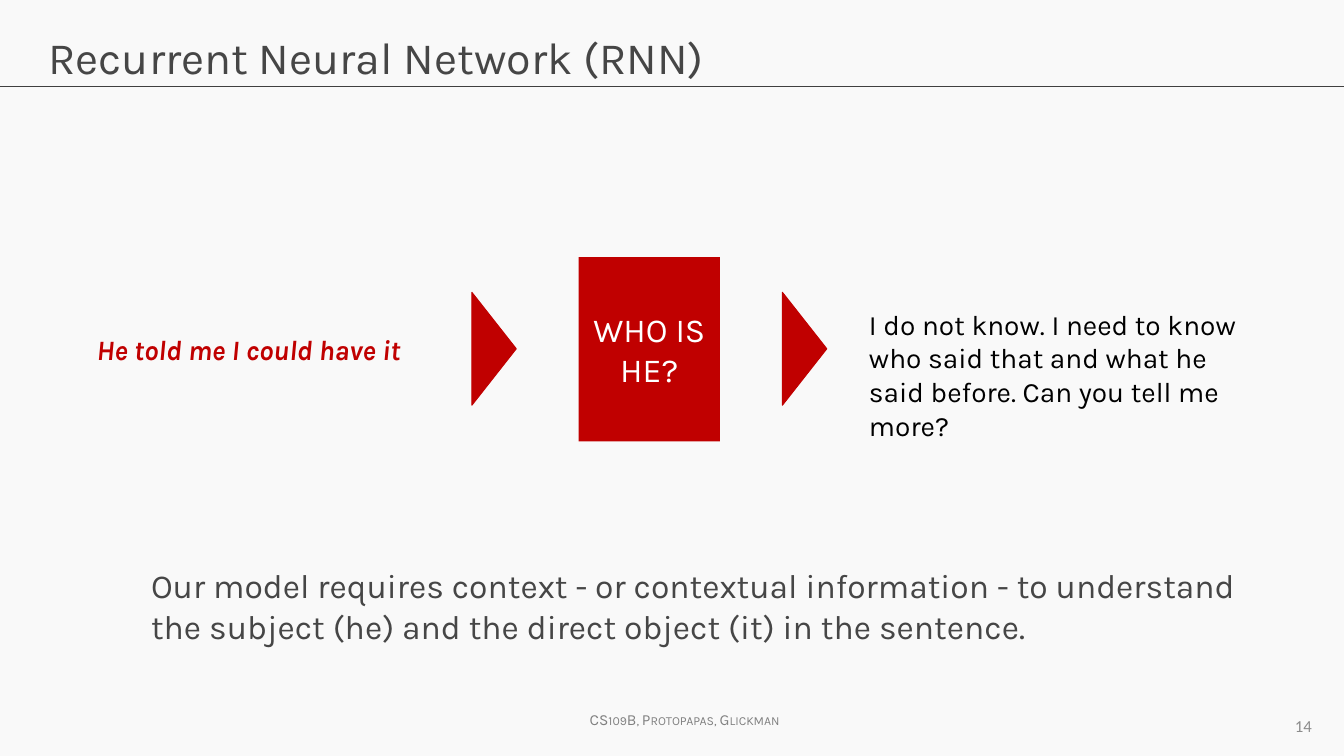
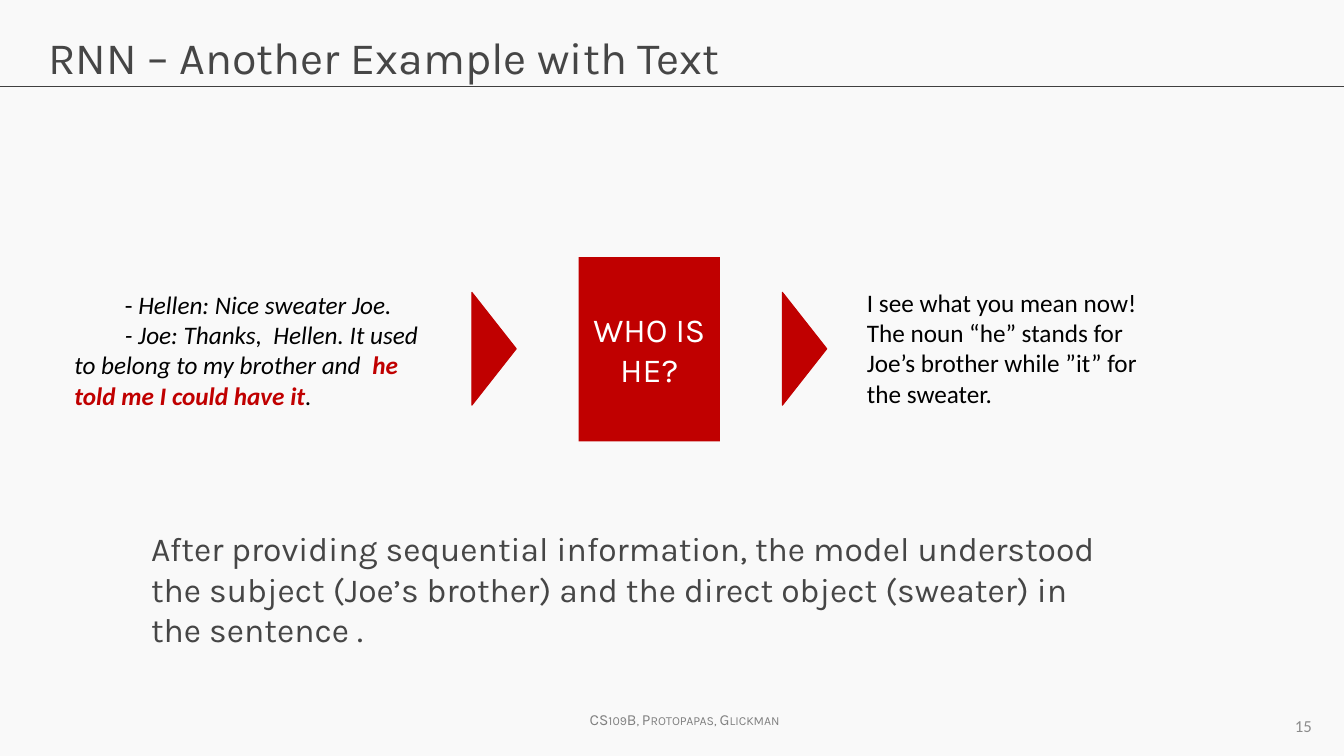
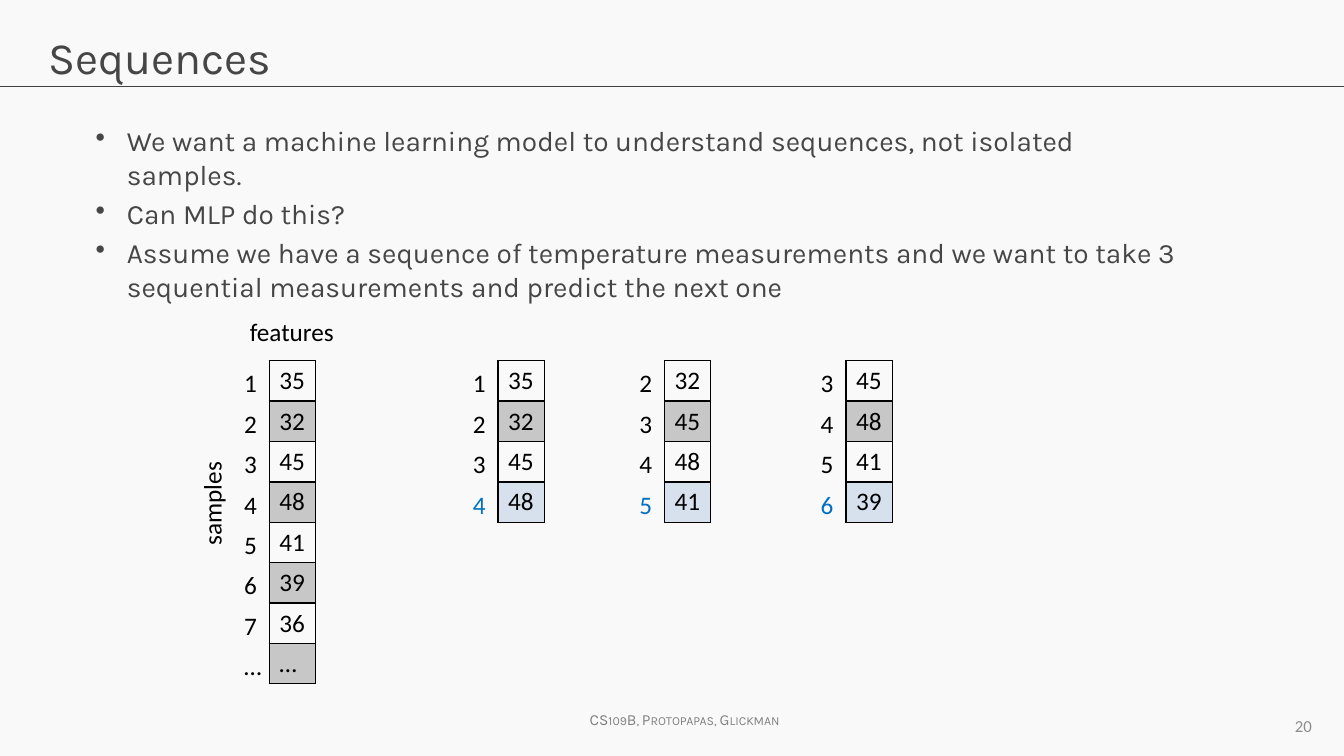
from lxml import etree
from pptx import Presentation
from pptx.dml.color import RGBColor
from pptx.enum.shapes import MSO_CONNECTOR, MSO_SHAPE
from pptx.enum.text import MSO_ANCHOR, MSO_AUTO_SIZE, PP_ALIGN
from pptx.oxml.ns import qn
from pptx.util import Inches, Pt

WIDTH, HEIGHT = 13.33, 7.5
TITLE_ONLY = 5
LEFT, CENTER, RIGHT = PP_ALIGN.LEFT, PP_ALIGN.CENTER, PP_ALIGN.RIGHT
TOP, MIDDLE = MSO_ANCHOR.TOP, MSO_ANCHOR.MIDDLE
PLAIN_TABLE_STYLE = "{2D5ABB26-0587-4C30-8999-92F81FD0307C}"
KARLA, CALIBRI = "Karla", "Calibri"
COLORS = {
    "paper": "F9F9F9", "rule": "404040", "body": "464646", "footer": "808080",
    "number": "8C8C8C", "red": "C00000", "white": "FFFFFF", "black": "000000",
    "target": "0070C0", "target_fill": "4F81BD",
}

FOOTER = "CS109B, Protopapas, Glickman"
QUESTION = "WHO IS HE?"
FLOWS = [
    {
        "title": "Recurrent Neural Network (RNN)", "number": 14,
        "input": [[("He told me I could have it", "red", True, True)]],
        "input_box": (0.86, 3.25, 3.58, 0.44), "indent": 0,
        "answer": "I do not know. I need to know who said that and what he said before. "
                  "Can you tell me more?",
        "answer_box": (8.52, 3, 3.98, 1.45), "font": KARLA, "size": 20,
        "lesson": "Our model requires context - or contextual information - to understand "
                  "the subject (he) and the direct object (it) in the sentence.",
        "lesson_box": (1.4, 5.56, 11.1, 1.06),
    },
    {
        "title": "RNN – Another Example with Text", "number": 15,
        "input": [
            [("- ", "black", False, False),
             ("Hellen: Nice sweater Joe.", "black", False, True)],
            [("- Joe: Thanks,  Hellen. It used to belong to my brother and  ",
              "black", False, True),
             ("he told me I could have it", "red", True, True),
             (".", "black", False, True)],
        ],
        "input_box": (0.64, 2.82, 3.8, 1.31), "indent": 0.5,
        "answer": "I see what you mean now! The noun “he” stands for Joe’s brother "
                  "while ”it” for the sweater.",
        "answer_box": (8.5, 2.8, 3.13, 1.31), "font": CALIBRI, "size": 18,
        "lesson": "After providing sequential information, the model understood the subject "
                  "(Joe’s brother) and the direct object (sweater) in the sentence .",
        "lesson_box": (1.4, 5.19, 9.82, 1.06),
    },
]

SEQUENCE_BULLETS = [
    "We want a machine learning model to understand sequences, not isolated samples.",
    "Can MLP do this?",
    "Assume we have a sequence of temperature measurements and we want to take 3 "
    "sequential measurements and predict the next one",
]
SAMPLES = list(zip("1234567…", ["35", "32", "45", "48", "41", "39", "36", "…"]))
WINDOW = 4
WINDOW_LEFTS = [4.59, 6.24, 8.04]
ROW_HEIGHT = 0.4


def rgb(name):
    return RGBColor.from_string(COLORS[name])


def inches(box):
    return [Inches(length) for length in box]


def style(font, face, size, color):
    font.name, font.size, font.color.rgb = face, Pt(size), rgb(color)


def add_text(slide, box, lines, face, size, color, align=LEFT, anchor=TOP, wrap=True):
    label = slide.shapes.add_textbox(*inches(box))
    frame = label.text_frame
    frame.word_wrap, frame.vertical_anchor = wrap, anchor
    frame.text = "\n".join(lines)
    for paragraph in frame.paragraphs:
        paragraph.alignment = align
        style(paragraph.font, face, size, color)
    return label


def add_slide(deck, title, number):
    """Add a slide with the title, rule, footer and page number all slides share."""
    slide = deck.slides.add_slide(deck.slide_layouts[TITLE_ONLY])
    heading = slide.shapes.title
    heading.left, heading.top, heading.width, heading.height = inches((0.38, 0.24, 12.57, 0.84))
    frame = heading.text_frame
    frame.text = title
    frame.auto_size, frame.vertical_anchor = MSO_AUTO_SIZE.NONE, TOP
    frame.paragraphs[0].alignment = LEFT
    style(frame.paragraphs[0].font, KARLA, 32, "body")

    rule = slide.shapes.add_connector(MSO_CONNECTOR.STRAIGHT, *inches((0, 0.86, WIDTH, 0.86)))
    rule.line.color.rgb, rule.line.width = rgb("rule"), Pt(0.75)
    etree.SubElement(rule._element.spPr, qn("a:effectLst"))

    footer = add_text(slide, (5.75, 7, 2.19, 0.29), [FOOTER], KARLA, 11, "footer")
    credit = footer.text_frame.paragraphs[0].runs[0]
    credit.font._element.set("cap", "small")
    add_text(slide, (10, 7, 3.11, 0.4), [str(number)], CALIBRI, 12, "number", RIGHT, MIDDLE)
    return slide


def add_red_shape(slide, kind, box):
    shape = slide.shapes.add_shape(kind, *inches(box))
    shape.shadow.inherit = False
    shape.fill.solid()
    shape.fill.fore_color.rgb = rgb("red")
    shape.line.color.rgb, shape.line.width = rgb("red"), Pt(0.75)
    return shape


def add_flow_slide(deck, flow):
    slide = add_slide(deck, flow["title"], flow["number"])
    add_text(slide, flow["lesson_box"], [flow["lesson"]], KARLA, 24, "body")

    model = add_red_shape(slide, MSO_SHAPE.RECTANGLE, (5.74, 2.55, 1.4, 1.83))
    model.line.fill.background()
    model.text_frame.text = QUESTION
    model.text_frame.vertical_anchor = MIDDLE
    model.text_frame.paragraphs[0].alignment = CENTER
    style(model.text_frame.paragraphs[0].font, KARLA, 24, "white")
    for left in (4.34, 7.42):
        add_red_shape(slide, MSO_SHAPE.ISOSCELES_TRIANGLE, (left, 3.24, 1.12, 0.44)).rotation = 90

    add_text(slide, flow["answer_box"], [flow["answer"]], flow["font"], flow["size"], "black")
    lines = ["".join(part[0] for part in line) for line in flow["input"]]
    speech = add_text(slide, flow["input_box"], lines, flow["font"], flow["size"], "black")
    for paragraph, parts in zip(speech.text_frame.paragraphs, flow["input"]):
        paragraph._p.get_or_add_pPr().set("indent", str(Inches(flow["indent"])))
        paragraph.runs[0].text = parts[0][0]
        for _ in parts[1:]:
            paragraph.add_run()
        for run, (text, color, bold, italic) in zip(paragraph.runs, parts):
            run.text = text
            style(run.font, flow["font"], flow["size"], color)
            run.font.bold, run.font.italic = bold, italic


def add_border(cell, side, points):
    edge = etree.SubElement(cell._tc.get_or_add_tcPr(), qn("a:ln" + side), w=str(Pt(points)))
    fill = etree.SubElement(edge, qn("a:solidFill"))
    etree.SubElement(fill, qn("a:srgbClr"), val=COLORS["black"])


def tint(cell, color):
    """Fill a cell with a colour at 20% opacity."""
    cell.fill.solid()
    cell.fill.fore_color.rgb = rgb(color)
    for value in cell._tc.tcPr.find(qn("a:solidFill")):
        etree.SubElement(value, qn("a:alpha"), val="20000")


def add_column(slide, left, top, width, values):
    """Add a one-column table without style and return its cells."""
    holder = slide.shapes.add_table(
        len(values), 1, *inches((left, top, width, ROW_HEIGHT * len(values))))
    table = holder.table
    table.first_row = table.horz_banding = False
    for style_id in holder._element.iter(qn("a:tableStyleId")):
        style_id.text = PLAIN_TABLE_STYLE
    cells = [table.cell(row, 0) for row in range(len(values))]
    for cell, value in zip(cells, values):
        cell.text = value
        style(cell.text_frame.paragraphs[0].font, CALIBRI, 18, "black")
        cell.fill.background()
    return cells


def add_series(slide, left, samples, has_target):
    """Add sample numbers and boxed values; a target is the last row, in blue."""
    numbers, values = zip(*samples)
    boxes = add_column(slide, left + 0.35, 3.58, 0.46, values)
    labels = add_column(slide, left, 3.61, 0.25, numbers)
    for row, cell in enumerate(boxes):
        properties = cell._tc.get_or_add_tcPr()
        for old_fill in list(properties):
            properties.remove(old_fill)
        for side in "LRTB":
            thick = (row, side) in ((0, "B"), (1, "T"))
            add_border(cell, side, 2 if thick else 1)
        if has_target and row == len(boxes) - 1:
            tint(cell, "target_fill")
            labels[row].text_frame.paragraphs[0].font.color.rgb = rgb("target")
        elif row % 2:
            tint(cell, "black")
        else:
            cell.fill.background()


def add_sequence_slide(deck):
    slide = add_slide(deck, "Sequences", 20)
    bullets = add_text(slide, (0.85, 1.18, 11.01, 1.9), SEQUENCE_BULLETS, KARLA, 20, "body")
    for index, paragraph in enumerate(bullets.text_frame.paragraphs):
        if index:
            paragraph.space_before = Pt(4)
        properties = paragraph._p.get_or_add_pPr()
        properties.set("marL", str(Inches(0.31)))
        properties.set("indent", str(-Inches(0.31)))
        mark = etree.Element(qn("a:buChar"), char="•")
        properties.find(qn("a:defRPr")).addprevious(mark)

    add_series(slide, 2.32, SAMPLES, False)
    add_text(slide, (2.38, 3.09, 1.04, 0.4), ["features"], CALIBRI, 18, "black", wrap=False)
    samples = add_text(slide, (1.58, 4.79, 1.04, 0.4), ["samples"], CALIBRI, 18, "black",
                       wrap=False)
    samples.rotation = 270
    for start, left in enumerate(WINDOW_LEFTS):
        add_series(slide, left, SAMPLES[start:start + WINDOW], True)


def main():
    deck = Presentation()
    deck.slide_width, deck.slide_height = Inches(WIDTH), Inches(HEIGHT)
    background = deck.slide_master.background.fill
    background.solid()
    background.fore_color.rgb = rgb("paper")
    for flow in FLOWS:
        add_flow_slide(deck, flow)
    add_sequence_slide(deck)
    deck.save("out.pptx")


if __name__ == "__main__":
    main()
